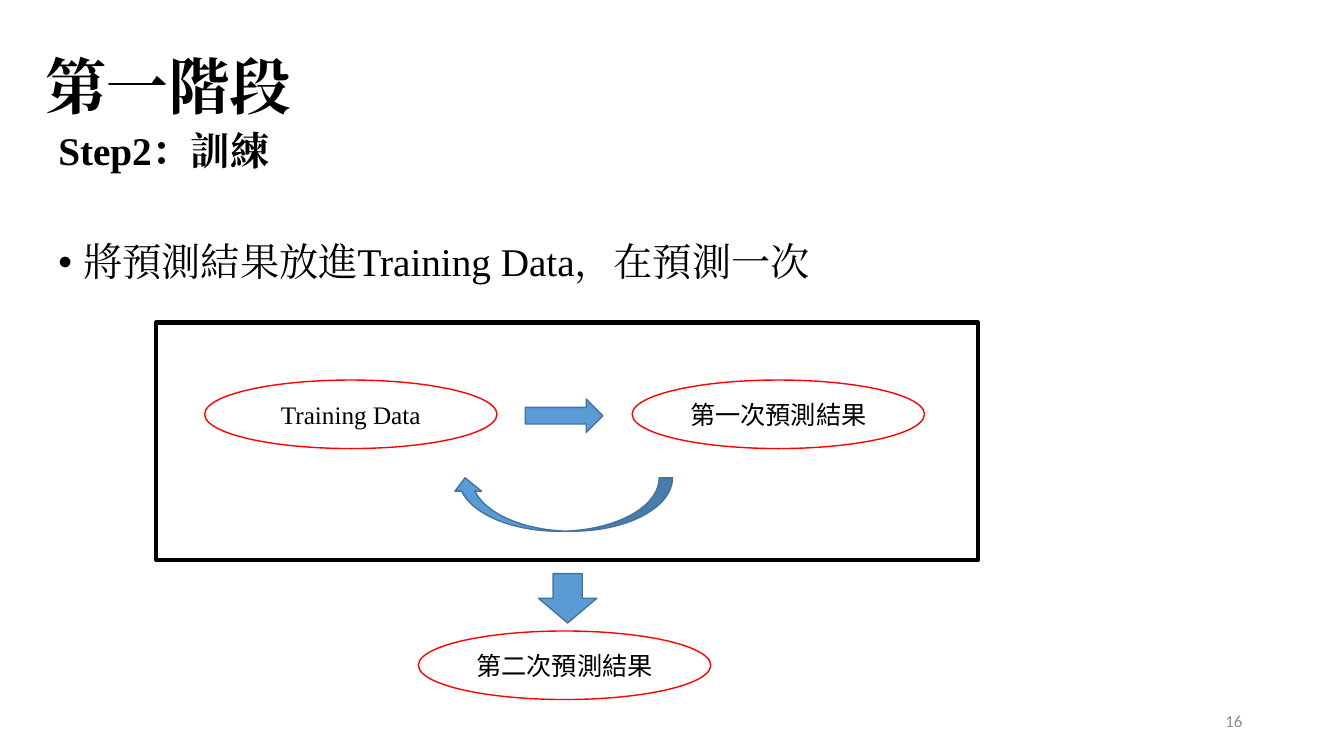
from dataclasses import dataclass
from typing import Optional

from lxml.etree import SubElement
from pptx import Presentation
from pptx.dml.color import RGBColor
from pptx.enum.shapes import MSO_SHAPE
from pptx.enum.text import MSO_ANCHOR, PP_ALIGN
from pptx.oxml.ns import qn
from pptx.util import Inches, Pt

BLACK = RGBColor(0x00, 0x00, 0x00)
RED = RGBColor(0xFF, 0x00, 0x00)
ARROW_BLUE = RGBColor(0x5B, 0x9B, 0xD5)
ARROW_EDGE = RGBColor(0x43, 0x73, 0x9E)
PAGE_GRAY = RGBColor(0x8C, 0x8C, 0x8C)
SERIF = "Times New Roman"
CJK = "Noto Sans CJK SC"
OVAL_WIDTH, OVAL_HEIGHT = 2.9, 0.68


@dataclass
class Stage:
    label: str
    left: float
    top: float
    font: str = CJK


@dataclass
class Arrow:
    kind: MSO_SHAPE
    left: float
    top: float
    width: float
    height: float
    rotation: float = 0


STAGES = [
    Stage("Training Data", 2.03, 3.77, SERIF),
    Stage("第一次預測結果", 6.27, 3.77),
    Stage("第二次預測結果", 4.15, 6.26),
]
ARROWS = [
    Arrow(MSO_SHAPE.CURVED_DOWN_ARROW, 4.48, 4.74, 2.19, 0.53, 180),
    Arrow(MSO_SHAPE.RIGHT_ARROW, 5.21, 3.96, 0.77, 0.33),
    Arrow(MSO_SHAPE.DOWN_ARROW, 5.34, 5.69, 0.58, 0.49),
]


def write(paragraph, text: str, *, size: float, font: str = SERIF,
          color: RGBColor = BLACK, bold: bool = False,
          align: PP_ALIGN = PP_ALIGN.LEFT, line_spacing: float = 1.0,
          space_before: float = 0, bullet: bool = False) -> None:
    """Put one formatted run into a paragraph."""
    paragraph.alignment = align
    paragraph.line_spacing = line_spacing
    paragraph.space_before = Pt(space_before)
    if bullet:
        properties = paragraph._p.get_or_add_pPr()
        properties.set("marL", str(Inches(0.25)))
        properties.set("indent", str(Inches(-0.25)))
        SubElement(properties, qn("a:buFont"), typeface="Arial")
        SubElement(properties, qn("a:buChar"), char="•")
    run = paragraph.add_run()
    run.text = text
    run.font.size = Pt(size)
    run.font.bold = bold
    run.font.color.rgb = color
    run.font.name = font
    SubElement(run._r.get_or_add_rPr(), qn("a:ea"), typeface=font)


def add_text_frame(slide, left: float, top: float, width: float, height: float,
                   anchor: MSO_ANCHOR = MSO_ANCHOR.MIDDLE):
    box = slide.shapes.add_textbox(Inches(left), Inches(top), Inches(width), Inches(height))
    frame = box.text_frame
    frame.word_wrap = True
    frame.vertical_anchor = anchor
    return frame


def add_figure(slide, kind: MSO_SHAPE, left: float, top: float, width: float,
               height: float, edge: RGBColor, edge_width: float = 1,
               fill: Optional[RGBColor] = None):
    figure = slide.shapes.add_shape(
        kind, Inches(left), Inches(top), Inches(width), Inches(height))
    figure.shadow.inherit = False
    if fill is None:
        figure.fill.background()
    else:
        figure.fill.solid()
        figure.fill.fore_color.rgb = fill
    figure.line.color.rgb = edge
    figure.line.width = Pt(edge_width)
    return figure


def add_stage(slide, stage: Stage) -> None:
    oval = add_figure(slide, MSO_SHAPE.OVAL, stage.left, stage.top,
                      OVAL_WIDTH, OVAL_HEIGHT, RED)
    oval.text_frame.vertical_anchor = MSO_ANCHOR.MIDDLE
    write(oval.text_frame.paragraphs[0], stage.label, size=18, font=stage.font,
          align=PP_ALIGN.CENTER)


def add_arrow(slide, arrow: Arrow) -> None:
    figure = add_figure(slide, arrow.kind, arrow.left, arrow.top, arrow.width,
                        arrow.height, ARROW_EDGE, fill=ARROW_BLUE)
    figure.rotation = arrow.rotation


def main() -> None:
    deck = Presentation()
    deck.slide_width, deck.slide_height = Inches(13.33), Inches(7.5)
    slide = deck.slides.add_slide(deck.slide_layouts[6])

    # Heading
    title = add_text_frame(slide, 0.35, 0.16, 11.5, 1.45)
    write(title.paragraphs[0], "第一階段", size=44, bold=True, line_spacing=0.9)

    # Step and its explanation
    body = add_text_frame(slide, 0.48, 1.26, 11.96, 5.35, MSO_ANCHOR.TOP)
    write(body.paragraphs[0], "Step2：訓練", size=28, bold=True, line_spacing=0.9)
    write(body.add_paragraph(), "將預測結果放進Training Data，在預測一次", size=28,
          line_spacing=0.9, space_before=49, bullet=True)

    # Training loop and its outcome
    for stage in STAGES:
        add_stage(slide, stage)
    for arrow in ARROWS:
        add_arrow(slide, arrow)
    add_figure(slide, MSO_SHAPE.RECTANGLE, 1.55, 3.2, 8.15, 2.36, BLACK, 3)

    # Page number
    page_number = add_text_frame(slide, 9.42, 6.95, 3, 0.4)
    write(page_number.paragraphs[0], "16", size=12, font="Calibri",
          color=PAGE_GRAY, align=PP_ALIGN.RIGHT)

    deck.save("out.pptx")


if __name__ == "__main__":
    main()
